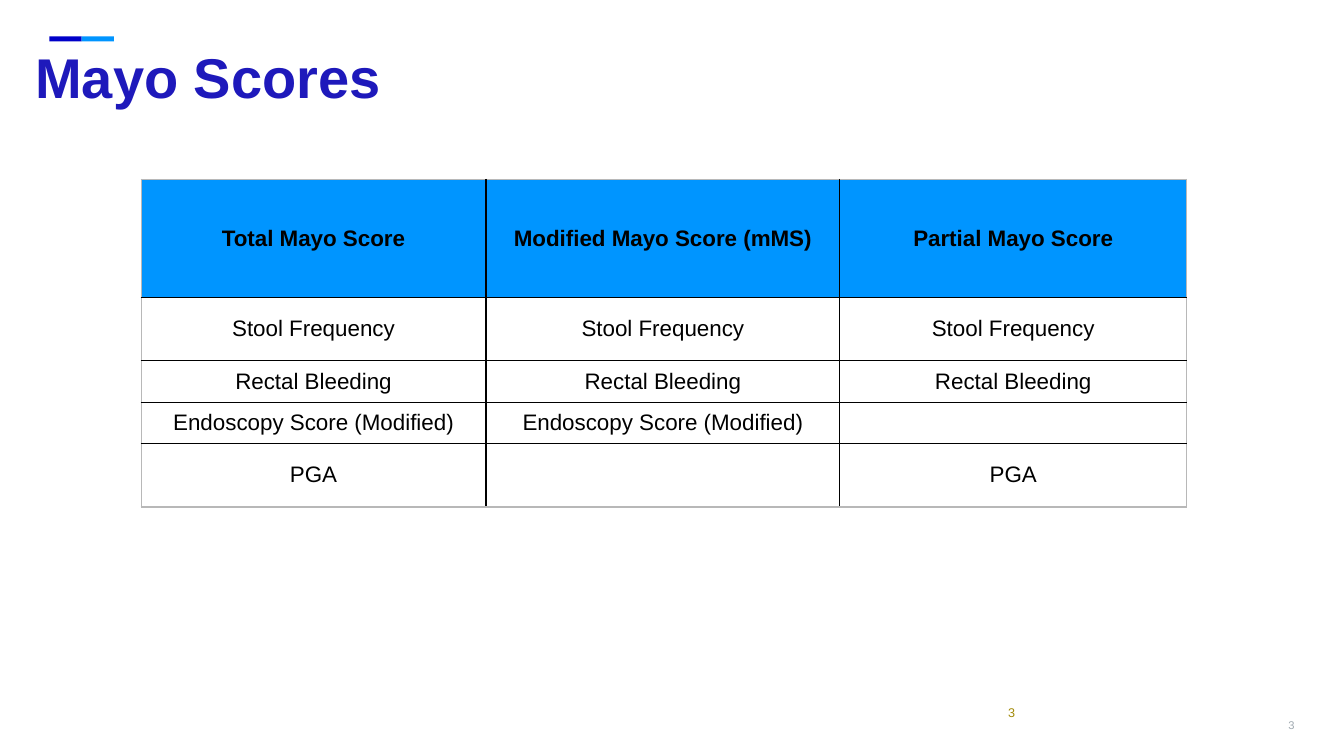
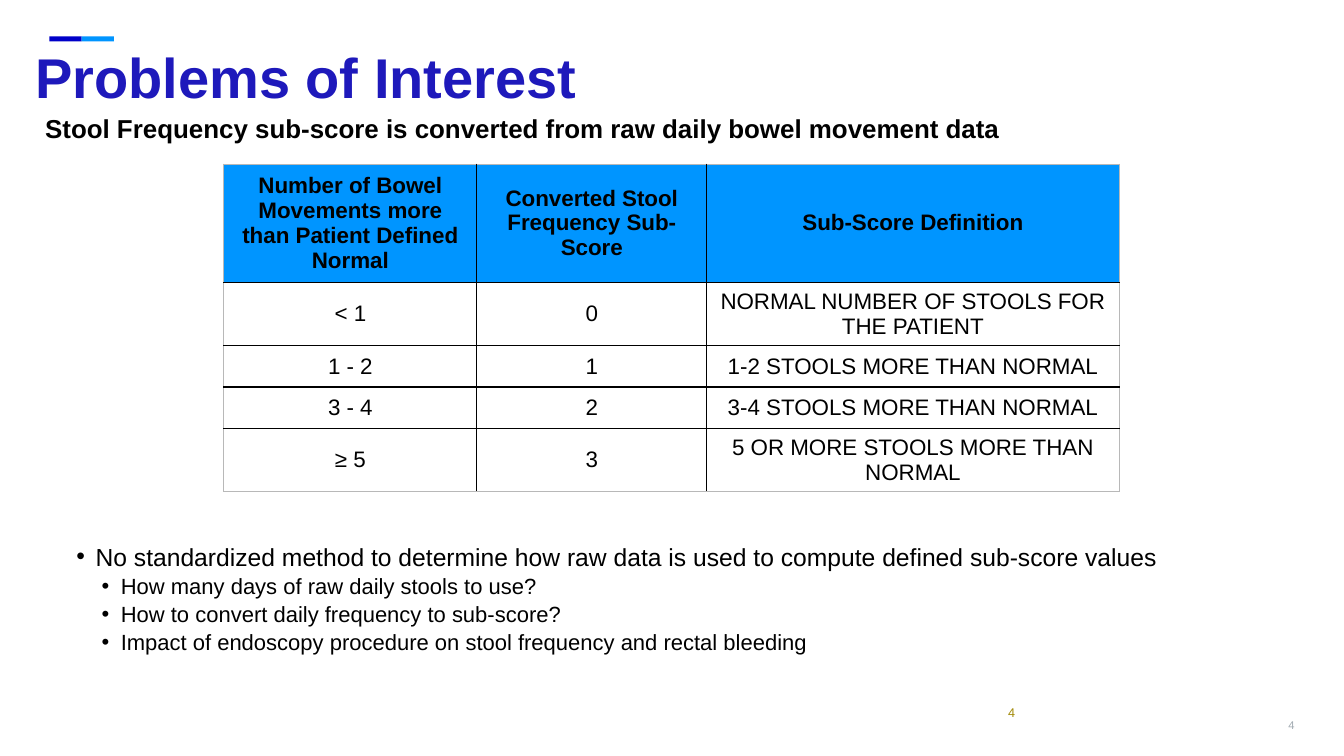
"""Build two slides on Mayo scores and the stool frequency sub-score."""
from lxml import etree
from pptx import Presentation
from pptx.dml.color import RGBColor
from pptx.enum import shapes, text
from pptx.oxml import ns
from pptx.util import Inches, Pt

FONT = "Arial"
NAVY, BLUE, TITLE, BLACK = "0000C9", "0095FF", "1E19BB", "000000"
EDGE, GOLD, GREY = "B8B8B8", "A28A07", "A1AAB1"
ROW_HEIGHTS = [1.17, 0.63, 0.41, 0.41, 0.63]

SLIDES = [
    {
        "number": 3,
        "title": "Mayo Scores",
        "table_at": (1.4, 1.78),
        "columns": [3.42, 3.51, 3.44],
        "rows": [
            ("Total Mayo Score", "Modified Mayo Score (mMS)", "Partial Mayo Score"),
            ("Stool Frequency",) * 3,
            ("Rectal Bleeding",) * 3,
            ("Endoscopy Score (Modified)", "Endoscopy Score (Modified)", ""),
            ("PGA", "", "PGA"),
        ],
    },
    {
        "number": 4,
        "title": "Problems of Interest",
        "headline": "Stool Frequency sub-score is converted from raw daily bowel movement data",
        "table_at": (2.22, 1.63),
        "columns": [2.51, 2.28, 4.09],
        "rows": [
            ("Number of Bowel Movements more than Patient Defined Normal",
             "Converted Stool Frequency Sub-Score", "Sub-Score Definition"),
            ("< 1", "0", "NORMAL NUMBER OF STOOLS FOR THE PATIENT"),
            ("1 - 2", "1", "1-2 STOOLS MORE THAN NORMAL"),
            ("3 - 4", "2", "3-4 STOOLS MORE THAN NORMAL"),
            ("≥ 5", "3", "5 OR MORE STOOLS MORE THAN NORMAL"),
        ],
        "bullets": [
            (1, "No standardized method to determine how raw data is used to compute defined sub-score values"),
            (2, "How many days of raw daily stools to use?"),
            (2, "How to convert daily frequency to sub-score?"),
            (2, "Impact of endoscopy procedure on stool frequency and rectal bleeding"),
        ],
    },
]


def rgb(value):
    return RGBColor.from_string(value)


def format_paragraph(paragraph, size, color=BLACK, bold=False,
                     align=text.PP_ALIGN.LEFT, spacing=None):
    paragraph.alignment = align
    if spacing:
        paragraph.line_spacing = spacing
    for run in paragraph.runs:
        run.font.name = FONT
        run.font.size = Pt(size)
        run.font.bold = bold
        run.font.color.rgb = rgb(color)


def set_frame(frame, anchor=text.MSO_ANCHOR.TOP, horizontal=0.1, vertical=0.05):
    frame.word_wrap = True
    frame.auto_size = text.MSO_AUTO_SIZE.NONE
    frame.vertical_anchor = anchor
    frame.margin_left = frame.margin_right = Inches(horizontal)
    frame.margin_top = frame.margin_bottom = Inches(vertical)


def add_text(slide, box, content, size, anchor=text.MSO_ANCHOR.TOP,
             horizontal=0.1, vertical=0.05, **style):
    frame = slide.shapes.add_textbox(*map(Inches, box)).text_frame
    set_frame(frame, anchor, horizontal, vertical)
    frame.text = content
    format_paragraph(frame.paragraphs[0], size, **style)


def add_title(slide, content):
    title = slide.shapes.title
    title.left, title.top, title.width, title.height = map(Inches, (0.35, 0.47, 12.55, 0.66))
    set_frame(title.text_frame, horizontal=0)
    title.text_frame.text = content
    format_paragraph(title.text_frame.paragraphs[0], 40, TITLE, True, spacing=0.85)


def add_frame_parts(slide, number):
    for index, color in enumerate((NAVY, BLUE)):
        bar = slide.shapes.add_shape(
            shapes.MSO_SHAPE.RECTANGLE,
            *map(Inches, (0.49 + 0.32 * index, 0.36, 0.32, 0.05)))
        bar.shadow.inherit = False
        bar.fill.solid()
        bar.fill.fore_color.rgb = rgb(color)
        bar.line.fill.background()
    add_text(slide, (12.54, 6.89, 0.3, 0.37), str(number), 8, text.MSO_ANCHOR.BOTTOM, 0, 0,
             color=GREY, align=text.PP_ALIGN.RIGHT, spacing=0.9)
    add_text(slide, (9.9, 6.94, 3, 0.4), str(number), 9, color=GOLD)


def set_border(cell, side, color):
    properties = cell._tc.get_or_add_tcPr()
    line = etree.SubElement(properties, ns.qn("a:ln" + side), w=str(Pt(1)))
    fill = etree.SubElement(line, ns.qn("a:solidFill"))
    etree.SubElement(fill, ns.qn("a:srgbClr"), val=color)


def add_score_table(slide, position, columns, rows):
    size = sum(columns), sum(ROW_HEIGHTS)
    table = slide.shapes.add_table(
        len(rows), len(columns), *map(Inches, position + size)).table
    table.first_row = table.horz_banding = False
    for column, width in zip(table.columns, columns):
        column.width = Inches(width)
    last_row, last_column = len(rows) - 1, len(columns) - 1
    for r, (labels, height) in enumerate(zip(rows, ROW_HEIGHTS)):
        table.rows[r].height = Inches(height)
        for c, label in enumerate(labels):
            cell = table.cell(r, c)
            cell.text = label
            cell.vertical_anchor = text.MSO_ANCHOR.MIDDLE
            format_paragraph(cell.text_frame.paragraphs[0], 16, bold=r == 0,
                             align=text.PP_ALIGN.CENTER)
            outer = {"L": c == 0, "R": c == last_column, "T": r == 0, "B": r == last_row}
            for side, is_outer in outer.items():
                set_border(cell, side, EDGE if is_outer else BLACK)
            if r == 0:
                cell.fill.solid()
                cell.fill.fore_color.rgb = rgb(BLUE)
            else:
                cell.fill.background()


def add_bullets(slide, bullets):
    frame = slide.shapes.add_textbox(*map(Inches, (0.35, 5.38, 12.47, 1.3))).text_frame
    set_frame(frame)
    frame.text = "\n".join(content for _, content in bullets)
    for paragraph, (level, _) in zip(frame.paragraphs, bullets):
        paragraph.level = level
        paragraph.space_before = Pt(0 if level == 1 else 5)
        format_paragraph(paragraph, 17.6 if level == 1 else 15.7, spacing=0.8)
        properties = paragraph._p.get_or_add_pPr()
        properties.set("marL", str(Inches(0.25 + 0.25 * level)))
        properties.set("indent", str(Inches(-0.19)))
        etree.SubElement(properties, ns.qn("a:buFont"), typeface=FONT)
        etree.SubElement(properties, ns.qn("a:buChar"), char="•")


def main():
    presentation = Presentation()
    presentation.slide_width, presentation.slide_height = Inches(13.33), Inches(7.5)
    for content in SLIDES:
        slide = presentation.slides.add_slide(presentation.slide_layouts[5])
        add_frame_parts(slide, content["number"])
        add_title(slide, content["title"])
        if "headline" in content:
            add_text(slide, (0.35, 1.13, 12.47, 0.4), content["headline"], 18.5,
                     bold=True, spacing=0.8)
        add_score_table(slide, content["table_at"], content["columns"], content["rows"])
        if "bullets" in content:
            add_bullets(slide, content["bullets"])
    presentation.save("out.pptx")


if __name__ == "__main__":
    main()
